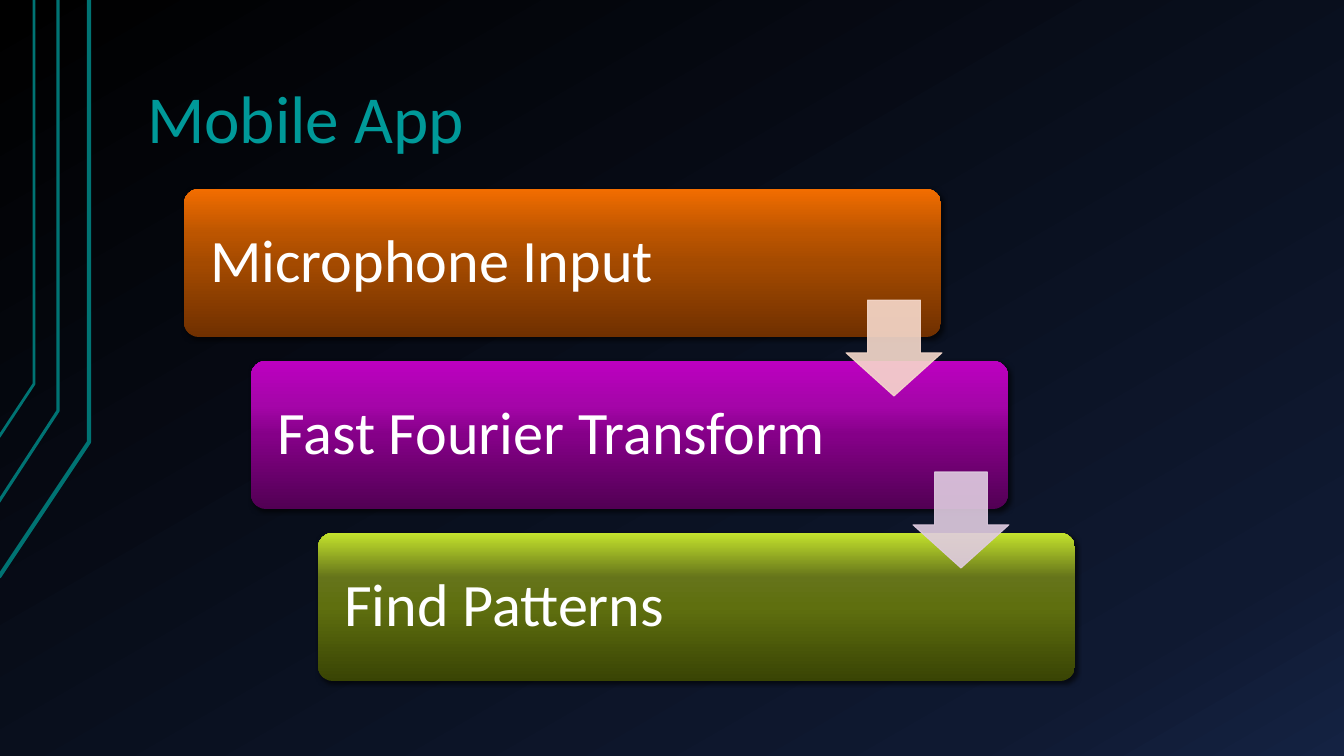
from dataclasses import dataclass
from lxml.etree import SubElement
from pptx import Presentation
from pptx.dml.color import RGBColor
from pptx.enum.shapes import MSO_SHAPE as Shape
from pptx.enum.text import MSO_ANCHOR as Anchor, PP_ALIGN as Align
from pptx.oxml.ns import qn
from pptx.util import Emu, Pt

WIDTH, HEIGHT = 1344, 756


def px(length):
    return Emu(round(length * 12192000 / WIDTH))


@dataclass(frozen=True)
class Theme:
    font: str = "Calibri"
    title_size: int = 48
    step_size: int = 43
    title: str = "009999"
    text: str = "FFFFFF"
    rail: str = "007373"
    shadow: str = "000000"
    backdrop: tuple = ((0, "000000"), (85, "0F1931"), (100, "142242"))
    orange: tuple = ((0, "703000"), (50, "A44A00"), (70, "BC5500"), (100, "F26D00"))
    purple: tuple = ((0, "520054"), (50, "850088"), (70, "A505A9"), (100, "BC00C0"))
    green: tuple = ((0, "394404"), (50, "5F6F0F"), (70, "65741A"), (100, "C4E32D"))
    peach: str = "F7DACC"
    lilac: str = "E0CCE1"


class SlideBuilder:
    def __init__(self, page, theme):
        self.page = page
        self.theme = theme

    def gradient(self, fill, element, stops, angle):
        fill.gradient()
        fill.gradient_angle = angle
        stop_list = element.find(".//" + qn("a:gsLst"))
        for stop in list(stop_list):
            stop_list.remove(stop)
        for position, color in stops:
            stop = SubElement(stop_list, qn("a:gs"), pos=str(position * 1000))
            SubElement(stop, qn("a:srgbClr"), val=color)

    def backdrop(self):
        self.gradient(self.page.background.fill, self.page.element, self.theme.backdrop, 300)

    def rail(self, points, weight):
        builder = self.page.shapes.build_freeform(*points[0], scale=px(1))
        builder.add_line_segments(points[1:], close=False)
        rail = builder.convert_to_shape()
        rail.shadow.inherit = False
        rail.fill.background()
        rail.line.color.rgb = RGBColor.from_string(self.theme.rail)
        rail.line.width = Pt(weight)

    def label(self, shape, text, size, color, anchor, inset_x, inset_y):
        frame = shape.text_frame
        frame.word_wrap = True
        frame.vertical_anchor = anchor
        frame.margin_left = frame.margin_right = px(inset_x)
        frame.margin_top = frame.margin_bottom = px(inset_y)
        para = frame.paragraphs[0]
        para.alignment = Align.LEFT
        para.line_spacing = 0.9
        span = para.add_run()
        span.text = text
        span.font.name = self.theme.font
        span.font.size = Pt(size)
        span.font.color.rgb = RGBColor.from_string(color)

    def title(self, text, left, top, width, height):
        box = self.page.shapes.add_textbox(px(left), px(top), px(width), px(height))
        self.label(box, text, self.theme.title_size, self.theme.title, Anchor.BOTTOM, 13, 7)

    def step(self, text, stops, left, top, width, height):
        box = self.page.shapes.add_shape(
            Shape.ROUNDED_RECTANGLE, px(left), px(top), px(width), px(height))
        box.adjustments[0] = 0.1
        box.line.fill.background()
        self.gradient(box.fill, box.element, stops, 90)
        self.cast_shadow(box)
        self.label(box, text, self.theme.step_size, self.theme.text, Anchor.MIDDLE, 22, 18)

    def cast_shadow(self, shape):
        shape.shadow.inherit = False
        effects = shape.element.spPr.find(qn("a:effectLst"))
        shadow = SubElement(effects, qn("a:outerShdw"), blurRad=str(Pt(3)),
                            dist=str(Pt(2)), dir="2700000", rotWithShape="0")
        color = SubElement(shadow, qn("a:srgbClr"), val=self.theme.shadow)
        SubElement(color, qn("a:alpha"), val="60000")

    def arrow(self, color, left, top, size):
        arrow = self.page.shapes.add_shape(
            Shape.DOWN_ARROW, px(left), px(top), px(size), px(size))
        arrow.adjustments[0] = 0.55
        arrow.adjustments[1] = 0.45
        arrow.shadow.inherit = False
        arrow.fill.solid()
        arrow.fill.fore_color.rgb = RGBColor.from_string(color)
        arrow.line.color.rgb = RGBColor.from_string(color)
        arrow.line.width = Pt(0.75)
        for tint in arrow.element.spPr.iter(qn("a:srgbClr")):
            SubElement(tint, qn("a:alpha"), val="90000")


def main():
    theme = Theme()
    deck = Presentation()
    deck.slide_width, deck.slide_height = px(WIDTH), px(HEIGHT)
    slide = SlideBuilder(deck.slides.add_slide(deck.slide_layouts[6]), theme)
    slide.backdrop()

    rails = [(-1, 577, 89, 442, 3), (-2, 503, 58, 411, 2.25), (-1, 437, 34, 384, 2)]
    for start, bottom, bend_x, bend_y, weight in rails:
        slide.rail([(start, bottom), (bend_x, bend_y), (bend_x, 0)], weight)

    slide.title("Mobile App", 134, 30, 1142, 135)

    steps = [
        ("Microphone Input", theme.orange),
        ("Fast Fourier Transform", theme.purple),
        ("Find Patterns", theme.green),
    ]
    shift_x, shift_y = 67, 172
    for index, (text, stops) in enumerate(steps):
        slide.step(text, stops, 184 + index * shift_x, 189 + index * shift_y, 757, 148)
    for index, color in enumerate([theme.peach, theme.lilac]):
        slide.arrow(color, 846 + index * shift_x, 300 + index * shift_y, 96)

    deck.save("out.pptx")


if __name__ == "__main__":
    main()
